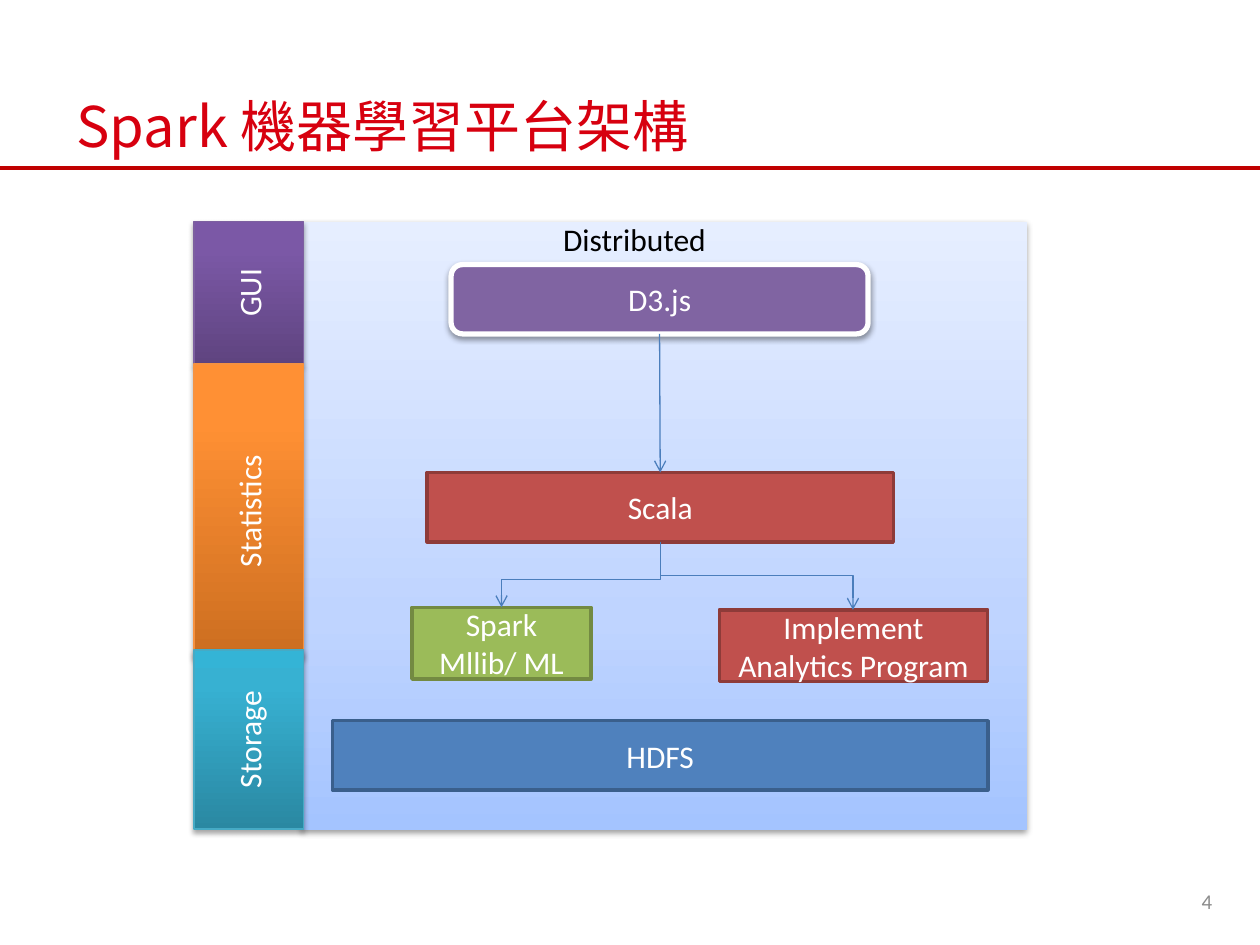
from lxml import etree
from pptx import Presentation
from pptx.dml.color import RGBColor
from pptx.enum.shapes import MSO_CONNECTOR, MSO_SHAPE
from pptx.enum.text import MSO_ANCHOR, PP_ALIGN
from pptx.oxml.ns import qn
from pptx.util import Inches, Pt

RECT, ROUND = MSO_SHAPE.RECTANGLE, MSO_SHAPE.ROUNDED_RECTANGLE
STRAIGHT, ELBOW = MSO_CONNECTOR.STRAIGHT, MSO_CONNECTOR.ELBOW
LEFT, CENTER, RIGHT = PP_ALIGN.LEFT, PP_ALIGN.CENTER, PP_ALIGN.RIGHT
MIDDLE, TOP = MSO_ANCHOR.MIDDLE, MSO_ANCHOR.TOP
SANS, CJK = "Calibri", "Noto Sans CJK SC"

# text, box, font, size, colour, alignment, anchor, wrap
TITLE = ("Spark 機器學習平台架構", (0.51, 0.68, 9, 0.63),
         CJK, 32, "D7000F", LEFT, MIDDLE, True)
NUMBER = ("4", (7.39, 6.95, 2.33, 0.4),
          SANS, 12, "8C8C8C", RIGHT, MIDDLE, True)
LABEL = ("Distributed", (4.37, 1.7, 1.35, 0.4),
         SANS, 18, "000000", LEFT, TOP, False)

PANEL = (2.4, 1.76, 5.75, 4.83)
PANEL_STOPS = [(0, "A4C4FF"), (35, "BFD4FF"), (100, "E6EEFF")]

# name: text lines, box, fill, line colour
BOXES = {
    "hdfs": (["HDFS"], (2.64, 5.72, 5.2, 0.55), "4F81BD", "3A5F8C"),
    "scala": (["Scala"], (3.39, 3.75, 3.7, 0.55), "C0504D", "8E3B39"),
    "spark": (["Spark", "Mllib/ ML"], (3.27, 4.82, 1.42, 0.57),
              "9BBB59", "738A42"),
    "program": (["Implement Analytics Program"], (5.71, 4.84, 2.13, 0.57),
                "C0504D", "8E3B39"),
}
# text, top, height, gradient colours from the bottom up, line colour
LAYERS = [
    ("GUI", 1.76, 1.13, ("5F4480", "7B58A6", "7C57A8"), "7D60A0"),
    ("Statistics", 2.89, 2.33, ("CC6E20", "FF9034", "FF9136"), "F69240"),
    ("Storage", 5.16, 1.42, ("2A88A2", "37B1D2", "34B4D6"), "46AAC5"),
]
# start and end of each bent arrow
BENDS = [((5.24, 4.38), (3.98, 4.82)), ((5.24, 4.3), (6.77, 4.84))]


def rgb(code):
    return RGBColor.from_string(code)


def sub(parent, tag, **attrs):
    node = etree.SubElement(parent, qn(tag))
    for key, value in attrs.items():
        node.set(key, str(value))
    return node


def style(frame, lines, font, size, color, align, anchor, wrap=True):
    frame.word_wrap = wrap
    frame.vertical_anchor = anchor
    frame.text = "\n".join(lines)
    for para in frame.paragraphs:
        para.alignment = align
        para.font.name, para.font.size = font, Pt(size)
        para.font.color.rgb = rgb(color)
        if font == CJK:
            for run in para.runs:
                run.font.name = font
                sub(run.font._element, "a:ea", typeface=font)


def add_text(text, box, *look):
    shape = slide.shapes.add_textbox(*map(Inches, box))
    style(shape.text_frame, [text], *look)


def add_box(kind, box, line=None, width=0, lines=()):
    shape = slide.shapes.add_shape(kind, *map(Inches, box))
    shape.shadow.inherit = False
    if line:
        shape.line.color.rgb = rgb(line)
        shape.line.width = Pt(width)
    else:
        shape.line.fill.background()
    if lines:
        style(shape.text_frame, lines, SANS, 18, "FFFFFF", CENTER, MIDDLE)
    return shape


def solid(shape, color):
    shape.fill.solid()
    shape.fill.fore_color.rgb = rgb(color)


def fade(shape, stops):
    """Fill with a gradient that runs from the bottom up."""
    shape.fill.gradient()
    shape.fill.gradient_angle = 90
    grad = shape.element.spPr.find(qn("a:gradFill"))
    stop_list = grad.find(qn("a:gsLst"))
    for old in list(stop_list):
        stop_list.remove(old)
    for place, color in stops:
        stop = sub(stop_list, "a:gs", pos=place * 1000)
        sub(stop, "a:srgbClr", val=color)


def shade(shape, alpha, dist):
    """Cast a soft shadow straight down."""
    effects = shape.element.spPr.find(qn("a:effectLst"))
    outer = sub(effects, "a:outerShdw", blurRad=Pt(3.1), dist=Pt(dist),
                dir=5400000, rotWithShape=0)
    sub(sub(outer, "a:srgbClr", val="000000"), "a:alpha", val=alpha * 1000)


def add_line(kind, start, end, color, width, arrow=False):
    line = slide.shapes.add_connector(kind, *map(Inches, start + end))
    line.line.color.rgb = rgb(color)
    line.line.width = Pt(width)
    props = line.element.spPr
    if arrow:
        sub(props.find(qn("a:ln")), "a:tailEnd", type="arrow")
    sub(props, "a:effectLst")
    return line


def add_bend(start, end):
    """Draw an elbow arrow that leaves and arrives vertically."""
    (x1, y1), (x2, y2) = start, end
    mid_x, mid_y = (x1 + x2) / 2, (y1 + y2) / 2
    wide, high = y2 - y1, abs(x2 - x1)  # size before the quarter turn
    left, top = mid_x - wide / 2, mid_y - high / 2
    line = add_line(ELBOW, (left, top), (left + wide, top + high),
                    "4B7EBC", 0.75, True)
    frame = line.element.spPr.find(qn("a:xfrm"))
    to_right = x2 > x1
    frame.set("rot", str((270 if to_right else 90) * 60000))
    if to_right:
        frame.set("flipH", "1")


deck = Presentation()
deck.slide_width, deck.slide_height = Inches(10), Inches(7.5)
slide = deck.slides.add_slide(deck.slide_layouts[6])

add_line(STRAIGHT, (0, 1.33), (10, 1.33), "C00000", 2.25)
add_text(*TITLE)
add_text(*NUMBER)

panel = add_box(RECT, PANEL)
fade(panel, PANEL_STOPS)
shade(panel, 38, 1.6)

chart = add_box(ROUND, (3.58, 2.1, 3.31, 0.55), "FFFFFF", 3, ["D3.js"])
solid(chart, "8064A2")
shade(chart, 38, 1.6)

shapes = {}
for name, (lines, box, fill, edge) in BOXES.items():
    shapes[name] = add_box(RECT, box, edge, 2, lines)
    solid(shapes[name], fill)

down = add_line(STRAIGHT, (5.24, 2.65), (5.24, 3.75), "4B7EBC", 0.75, True)
down.begin_connect(chart, 2)
down.end_connect(shapes["scala"], 0)
for start, end in BENDS:
    add_bend(start, end)

add_text(*LABEL)

for text, top, height, colors, edge in LAYERS:
    layer = add_box(RECT, (1.54, top, 0.87, height), edge, 0.75, [text])
    fade(layer, zip((0, 80, 100), colors))
    shade(layer, 35, 1.8)
    layer.element.txBody.find(qn("a:bodyPr")).set("vert", "vert270")

deck.save("out.pptx")
